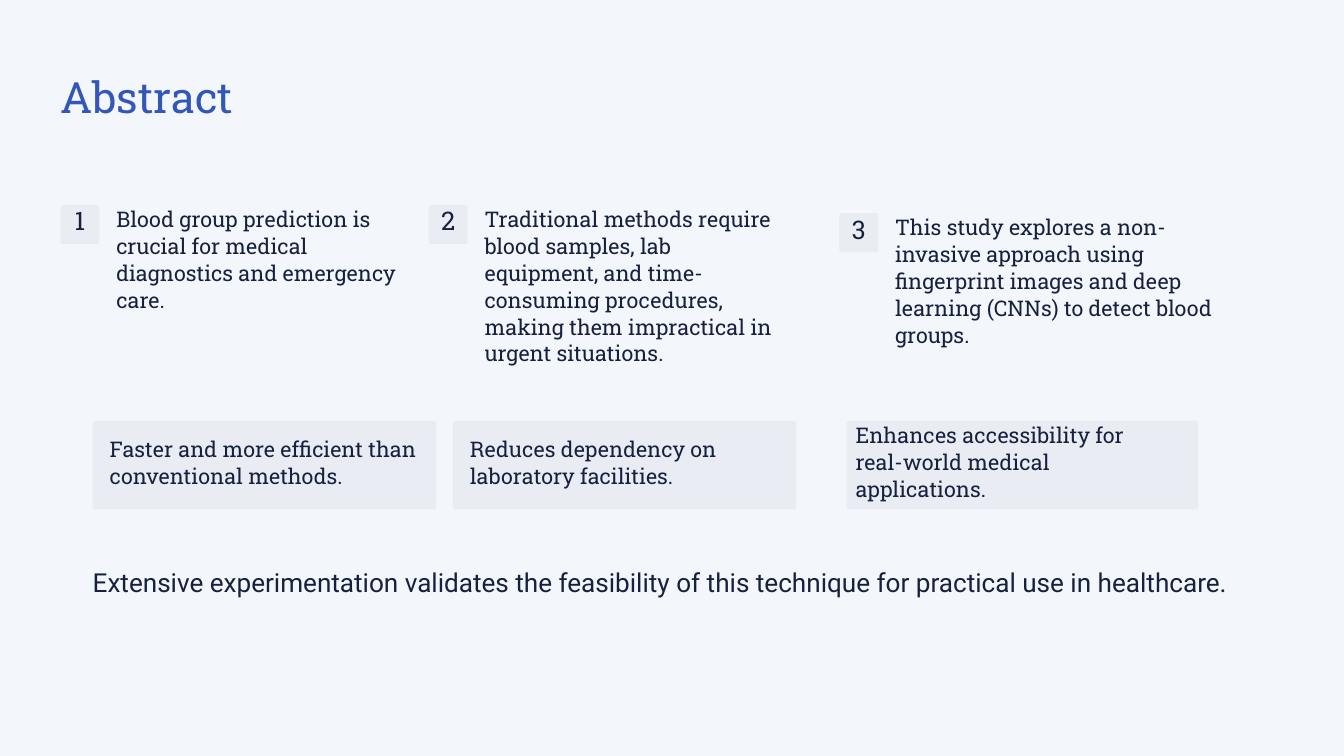
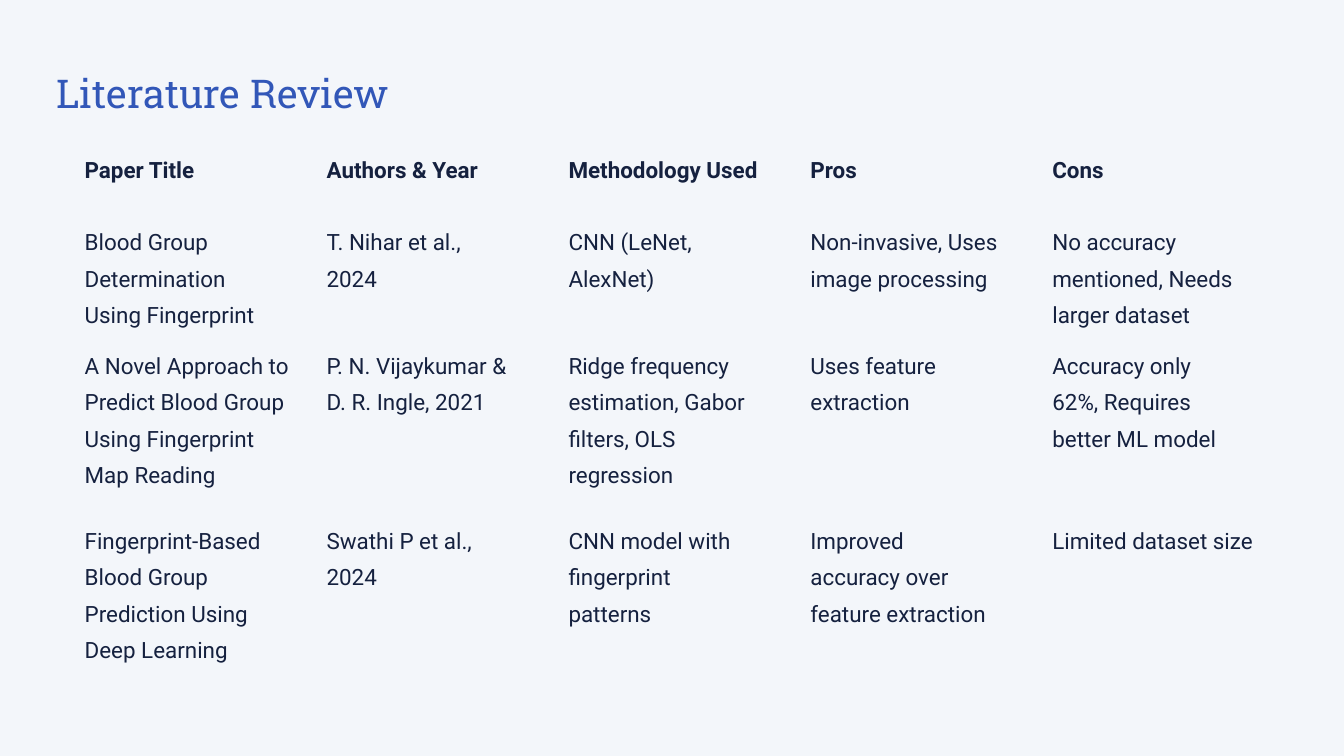
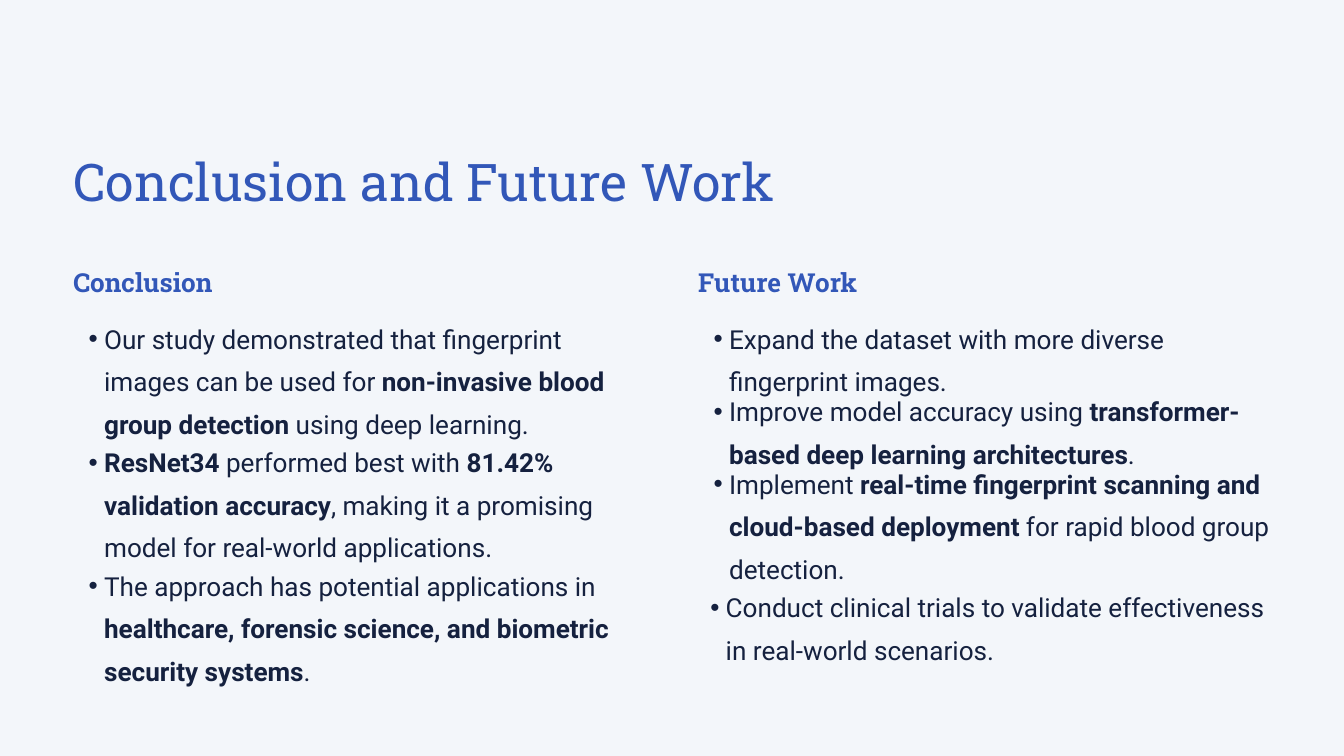
from dataclasses import dataclass
from typing import NamedTuple

from pptx import Presentation
from pptx import util as u
from pptx.dml.color import RGBColor
from pptx.enum import shapes, text
from pptx.oxml import ns, xmlchemy

PAPER = RGBColor(0xF3, 0xF6, 0xFA)
PANEL = RGBColor(0xE9, 0xEC, 0xF2)
BLUE = RGBColor(0x32, 0x57, 0xB8)
INK = RGBColor(0x15, 0x21, 0x3F)
SLAB, SANS = "Roboto Slab", "Roboto"

# All places and lengths are counted in grid cells.
COLUMNS, ROWS = 20, 11.25
CELL = u.Inches(1)
CORNER = 0.04
NO_TABLE_STYLE = "{2D5ABB26-0587-4C30-8999-92F81FD0307C}"


class Box(NamedTuple):
    left: float
    top: float
    width: float
    height: float


class Insets(NamedTuple):
    left: float = 0
    top: float = 0
    right: float = 0
    bottom: float = 0


@dataclass(frozen=True)
class Style:
    name: str
    size: float
    leading: float
    color: RGBColor = INK
    bold: bool = False
    align: text.PP_ALIGN = text.PP_ALIGN.LEFT
    bullet: bool = False


NUMBER = Style(SLAB, 27.5, 27.5, align=text.PP_ALIGN.CENTER)
POINT = Style(SLAB, 23.1, 28.8)
CLOSING = Style(SANS, 28, 45.4)
TABLE_BODY = Style(SANS, 24, 39.1)
TABLE_HEAD = Style(SANS, 24, 39.1, bold=True)
HEADING = Style(SLAB, 28, 35, BLUE, bold=True)
BULLET = Style(SANS, 28, 45.6, bullet=True)


class Point(NamedTuple):
    left: float
    top: float
    width: float
    height: float
    words: str


class Benefit(NamedTuple):
    left: float
    width: float
    insets: Insets
    words: str


class Finding(NamedTuple):
    words: str
    lines: int
    shift: float = 0


POINTS = [
    Point(0.9, 3.05, 4.39, 1.61, "Blood group prediction is crucial for medical diagnostics and emergency care."),
    Point(6.38, 3.05, 4.39, 2.41, "Traditional methods require blood samples, lab equipment, and time-consuming "
          "procedures, making them impractical in urgent situations."),
    Point(12.49, 3.17, 4.99, 2.08, "This study explores a non-invasive approach using fingerprint images and deep "
          "learning (CNNs) to detect blood groups."),
]
EVEN = Insets(0.24, 0.2, 0.24, 0.2)
BENEFITS = [
    Benefit(1.38, 5.11, EVEN, "Faster and more efficient than conventional methods."),
    Benefit(6.74, 5.11, EVEN, "Reduces dependency on laboratory facilities."),
    Benefit(12.6, 5.23, Insets(0.12, 0, 0.7), "Enhances accessibility for real-world medical applications."),
]
PAPERS = [
    ["Paper Title", "Authors & Year", "Methodology Used", "Pros", "Cons"],
    ["Blood Group Determination Using Fingerprint", "T. Nihar et al., 2024", "CNN (LeNet, AlexNet)",
     "Non-invasive, Uses image processing", "No accuracy mentioned, Needs larger dataset"],
    ["A Novel Approach to Predict Blood Group Using Fingerprint Map Reading",
     "P. N. Vijaykumar & D. R. Ingle, 2021",
     "Ridge frequency estimation, Gabor filters, OLS regression", "Uses feature extraction",
     "Accuracy only 62%, Requires better ML model"],
    ["Fingerprint-Based Blood Group Prediction Using Deep Learning", "Swathi P et al., 2024",
     "CNN model with fingerprint patterns", "Improved accuracy over feature extraction",
     "Limited dataset size"],
]
TABLE_ROWS = [1.07, 1.84, 2.6, 2.4]
TABLE_COLUMN = 3.6
TEXT_GAP, NARROW_GAP = 0.81, 0.48
WIDE_CELLS = {(0, 2), (2, 0), (3, 4)}

# Words between asterisks are bold.
CONCLUSIONS = [
    Finding("Our study demonstrated that fingerprint images can be used for "
            "*non-invasive blood group detection* using deep learning.", 3),
    Finding("*ResNet34* performed best with *81.42% validation accuracy*, making it a promising model "
            "for real-world applications.", 3),
    Finding("The approach has potential applications in "
            "*healthcare, forensic science, and biometric security systems*.", 3),
]
FUTURE_WORK = [
    Finding("Expand the dataset with more diverse fingerprint images.", 2),
    Finding("Improve model accuracy using *transformer-based deep learning architectures*.", 2),
    Finding("Implement *real-time fingerprint scanning and cloud-based deployment* "
            "for rapid blood group detection.", 3),
    Finding("Conduct clinical trials to validate effectiveness in real-world scenarios.", 2, -0.05),
]


def cells(count: float) -> int:
    """Length of a number of grid cells."""
    return round(count * CELL)


def add_bullet(para) -> None:
    properties = para._p.get_or_add_pPr()
    properties.set("marL", str(cells(0.46)))
    properties.set("indent", str(cells(-0.23)))
    for tag, key, value in [("a:buFont", "typeface", "Arial"), ("a:buChar", "char", "•")]:
        mark = xmlchemy.OxmlElement(tag)
        mark.set(key, value)
        properties.append(mark)


def write(frame, words: str, style: Style) -> None:
    """Fill a text frame with one paragraph; words between asterisks are bold."""
    para = frame.paragraphs[0]
    para.alignment = style.align
    para.line_spacing = u.Pt(style.leading)
    if style.bullet:
        para.level = 1
        add_bullet(para)
    font = para.font
    font.name, font.size, font.bold = style.name, u.Pt(style.size), style.bold
    font.color.rgb = style.color
    for index, part in enumerate(words.split("*")):
        if part:
            span = para.add_run()
            span.text = part
            if index % 2:
                span.font.bold = True


def set_frame(frame, insets: Insets = Insets()) -> None:
    frame.word_wrap = True
    frame.auto_size = text.MSO_AUTO_SIZE.NONE
    frame.vertical_anchor = text.MSO_ANCHOR.TOP
    frame.margin_left, frame.margin_top = cells(insets.left), cells(insets.top)
    frame.margin_right, frame.margin_bottom = cells(insets.right), cells(insets.bottom)


def add_text(page, box: Box, words: str, style: Style) -> None:
    frame = page.shapes.add_textbox(*map(cells, box)).text_frame
    set_frame(frame)
    write(frame, words, style)


def add_plain_shape(page, kind: shapes.MSO_SHAPE, box: Box, color: RGBColor):
    shape = page.shapes.add_shape(kind, *map(cells, box))
    shape.shadow.inherit = False
    shape.fill.solid()
    shape.fill.fore_color.rgb = color
    shape.line.fill.background()
    return shape


def add_panel(page, box: Box, insets: Insets, words: str, style: Style) -> None:
    panel = add_plain_shape(page, shapes.MSO_SHAPE.ROUNDED_RECTANGLE, box, PANEL)
    panel.adjustments[0] = CORNER / min(box.width, box.height)
    set_frame(panel.text_frame, insets)
    write(panel.text_frame, words, style)


def add_page(deck, title: str, box: Box, size: float, leading: float):
    """Add a slide with its backdrop behind the title."""
    page = deck.slides.add_slide(deck.slide_layouts.get_by_name("Title Only"))
    holder = page.shapes.title
    backdrop = add_plain_shape(page, shapes.MSO_SHAPE.RECTANGLE, Box(0, 0, COLUMNS, ROWS), PAPER)
    holder._element.addprevious(backdrop._element)
    holder.left, holder.top, holder.width, holder.height = map(cells, box)
    set_frame(holder.text_frame)
    write(holder.text_frame, title, Style(SLAB, size, leading, BLUE))
    return page


def add_abstract(deck) -> None:
    page = add_page(deck, "Abstract", Box(0.9, 1.02, 6.43, 0.82), 46.2, 57.5)
    for number, point in enumerate(POINTS, 1):
        add_panel(page, Box(point.left, point.top, 0.58, 0.58), Insets(top=0.07), str(number), NUMBER)
        add_text(page, Box(point.left + 0.83, point.top, point.width, point.height), point.words, POINT)
    for benefit in BENEFITS:
        add_panel(page, Box(benefit.left, 6.26, benefit.width, 1.32), benefit.insets, benefit.words, POINT)
    add_text(page, Box(1.38, 8.27, 17.03, 0.93), "Extensive experimentation validates the feasibility of this "
             "technique for practical use in healthcare.", CLOSING)


def add_literature_review(deck) -> None:
    page = add_page(deck, "Literature Review", Box(0.84, 0.98, 5.98, 0.77), 42.5, 53.7)
    count = len(PAPERS[0])
    box = Box(1.26, 2.2, TABLE_COLUMN * count, sum(TABLE_ROWS))
    table = page.shapes.add_table(len(PAPERS), count, *map(cells, box)).table
    table.horz_banding = False
    table._tbl.tblPr.find(ns.qn("a:tableStyleId")).text = NO_TABLE_STYLE
    for row, (height, entries) in enumerate(zip(TABLE_ROWS, PAPERS)):
        table.rows[row].height = cells(height)
        for column, words in enumerate(entries):
            cell = table.cell(row, column)
            cell.fill.background()
            cell.margin_left = cell.margin_top = cell.margin_bottom = 0
            cell.margin_right = cells(NARROW_GAP if (row, column) in WIDE_CELLS else TEXT_GAP)
            write(cell.text_frame, words, TABLE_BODY if row else TABLE_HEAD)


def add_findings(page, left: float, heading: str, findings: list[Finding]) -> None:
    add_text(page, Box(left, 3.94, 3.88, 0.6), heading, HEADING)
    top = 4.64
    for finding in findings:
        height = 0.62 * finding.lines + 0.08
        add_text(page, Box(left + finding.shift, top, 8.54, height), finding.words, BULLET)
        top += 0.76 * finding.lines - 0.44


def add_conclusion(deck) -> None:
    page = add_page(deck, "Conclusion and Future Work", Box(1.09, 2.19, 10.49, 0.98), 55.6, 69.4)
    add_findings(page, 1.09, "Conclusion", CONCLUSIONS)
    add_findings(page, 10.39, "Future Work", FUTURE_WORK)


def main() -> None:
    deck = Presentation()
    deck.slide_width, deck.slide_height = cells(COLUMNS), cells(ROWS)
    add_abstract(deck)
    add_literature_review(deck)
    add_conclusion(deck)
    deck.save("out.pptx")


if __name__ == "__main__":
    main()
